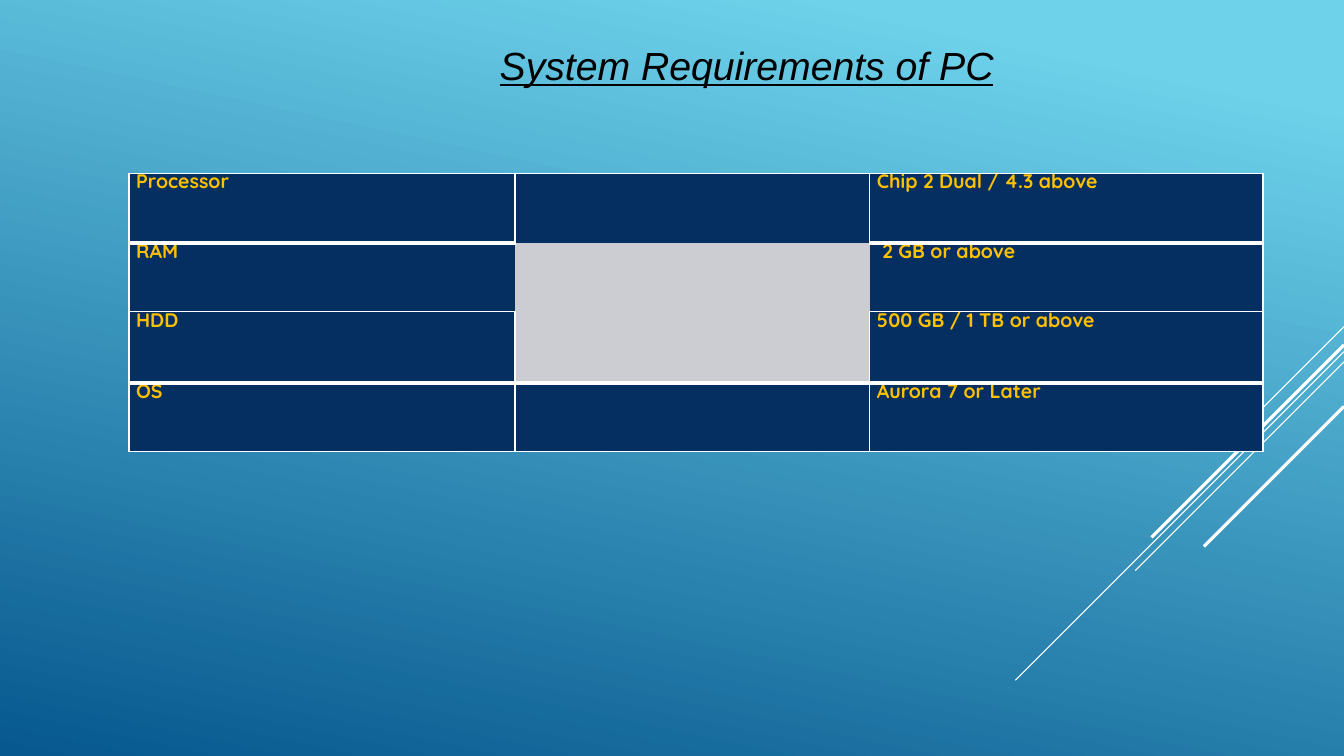
import pptx
import pptx.dml.color
import pptx.enum.shapes
import pptx.enum.text
import pptx.oxml.ns
import pptx.util
from lxml import etree
from pptx.util import Cm, Pt

COLORS = {
    "sky": "6ED2EB",
    "deep": "06588E",
    "navy": "052F61",
    "grey": "CCCDD2",
    "gold": "FFC000",
    "white": "FFFFFF",
    "black": "000000",
}
PAGE_WIDTH, PAGE_HEIGHT = 33.87, 19.05
RAYS = [(8.23, 2.54, 0.75), (8.86, 8.28, 0.75), (9.12, 5.26, 0.75),
        (8.69, 4.85, 2.25), (10.24, 3.53, 2.25)]
REQUIREMENTS = [
    ("Processor", "", "Chip 2 Dual / 4.3 above"),
    ("RAM", "", " 2 GB or above"),
    ("HDD", "", "500 GB / 1 TB or above"),
    ("OS", "", "Aurora 7 or Later"),
]
COLUMN_WIDTHS = [9.73, 8.94, 9.91]
ROW_HEIGHTS = [1.75, 1.73, 1.8, 1.73]
GREY_CELLS = {(1, 1), (2, 1)}
OPEN_CELL = (1, 1)
HEAVY_EDGES = {1, 3}
SIDES = {"L": (0, -1), "R": (0, 1), "T": (-1, 0), "B": (1, 0)}


def color(name):
    return pptx.dml.color.RGBColor.from_string(COLORS[name])


def border_width(row, column, side):
    down, across = SIDES[side]
    if OPEN_CELL in ((row, column), (row + down, column + across)):
        return 0
    edge = row + (side == "B")
    return 3 if down and edge in HEAVY_EDGES else 1


class SlidePainter:
    def __init__(self, deck):
        self.page = deck.slides.add_slide(deck.slide_layouts[5])

    def style_font(self, font, name, size, tone):
        font.name = name
        font.size = Pt(size)
        font.color.rgb = color(tone)

    def background(self, angle):
        fill = self.page.background.fill
        fill.gradient()
        fill.gradient_angle = 360 - angle
        for stop, position, tone in zip(fill.gradient_stops, (0.1, 1), ("sky", "deep")):
            stop.position = position
            stop.color.rgb = color(tone)

    def title(self, text, left, top, width, height):
        box = self.page.shapes.title
        box.left, box.top, box.width, box.height = map(Cm, (left, top, width, height))
        frame = box.text_frame
        frame.text = text
        frame.word_wrap = False
        frame.auto_size = pptx.enum.text.MSO_AUTO_SIZE.SHAPE_TO_FIT_TEXT
        frame.vertical_anchor = pptx.enum.text.MSO_ANCHOR.MIDDLE
        para = frame.paragraphs[0]
        para.alignment = pptx.enum.text.PP_ALIGN.LEFT
        self.style_font(para.font, "Arial", 28, "black")
        para.font.italic = True
        para.font.underline = True

    def ray(self, top, reach, weight):
        line = self.page.shapes.add_connector(
            pptx.enum.shapes.MSO_CONNECTOR.STRAIGHT,
            Cm(PAGE_WIDTH), Cm(top), Cm(PAGE_WIDTH - reach), Cm(top + reach))
        line.line.color.rgb = color("white")
        line.line.width = Pt(weight)
        etree.SubElement(line._element.spPr, pptx.oxml.ns.qn("a:effectLst"))

    def table(self, rows, left, top):
        grid = self.page.shapes.add_table(
            len(rows), len(COLUMN_WIDTHS), Cm(left), Cm(top),
            Cm(sum(COLUMN_WIDTHS)), Cm(sum(ROW_HEIGHTS))).table
        for column, width in zip(grid.columns, COLUMN_WIDTHS):
            column.width = Cm(width)
        for row, height in zip(grid.rows, ROW_HEIGHTS):
            row.height = Cm(height)
        for row, texts in enumerate(rows):
            for column, text in enumerate(texts):
                self.cell(grid.cell(row, column), row, column, text)

    def cell(self, cell, row, column, text):
        cell.margin_left = Cm(0.18)
        cell.margin_top = cell.margin_right = cell.margin_bottom = 0
        cell.text = text
        para = cell.text_frame.paragraphs[0]
        para.line_spacing = Pt(14.6)
        self.style_font(para.font, "Quicksand", 14, "gold")
        para.font.bold = True
        for side in SIDES:
            self.border(cell, side, border_width(row, column, side))
        cell.fill.solid()
        cell.fill.fore_color.rgb = color("grey" if (row, column) in GREY_CELLS else "navy")

    def border(self, cell, side, width):
        qn = pptx.oxml.ns.qn
        properties = cell._tc.get_or_add_tcPr()
        edge = etree.SubElement(properties, qn(f"a:ln{side}"), w=str(Pt(width)))
        if width:
            fill = etree.SubElement(edge, qn("a:solidFill"))
            etree.SubElement(fill, qn("a:srgbClr"), val=COLORS["white"])
        else:
            etree.SubElement(edge, qn("a:noFill"))


def main():
    deck = pptx.Presentation()
    deck.slide_width = Cm(PAGE_WIDTH)
    deck.slide_height = Cm(PAGE_HEIGHT)
    painter = SlidePainter(deck)
    painter.background(102)
    for ray in RAYS:
        painter.ray(*ray)
    painter.table(REQUIREMENTS, 3.25, 4.37)
    painter.title("System Requirements of PC", 12.34, 0.91, 13.11, 1.45)
    deck.save("out.pptx")


if __name__ == "__main__":
    main()
